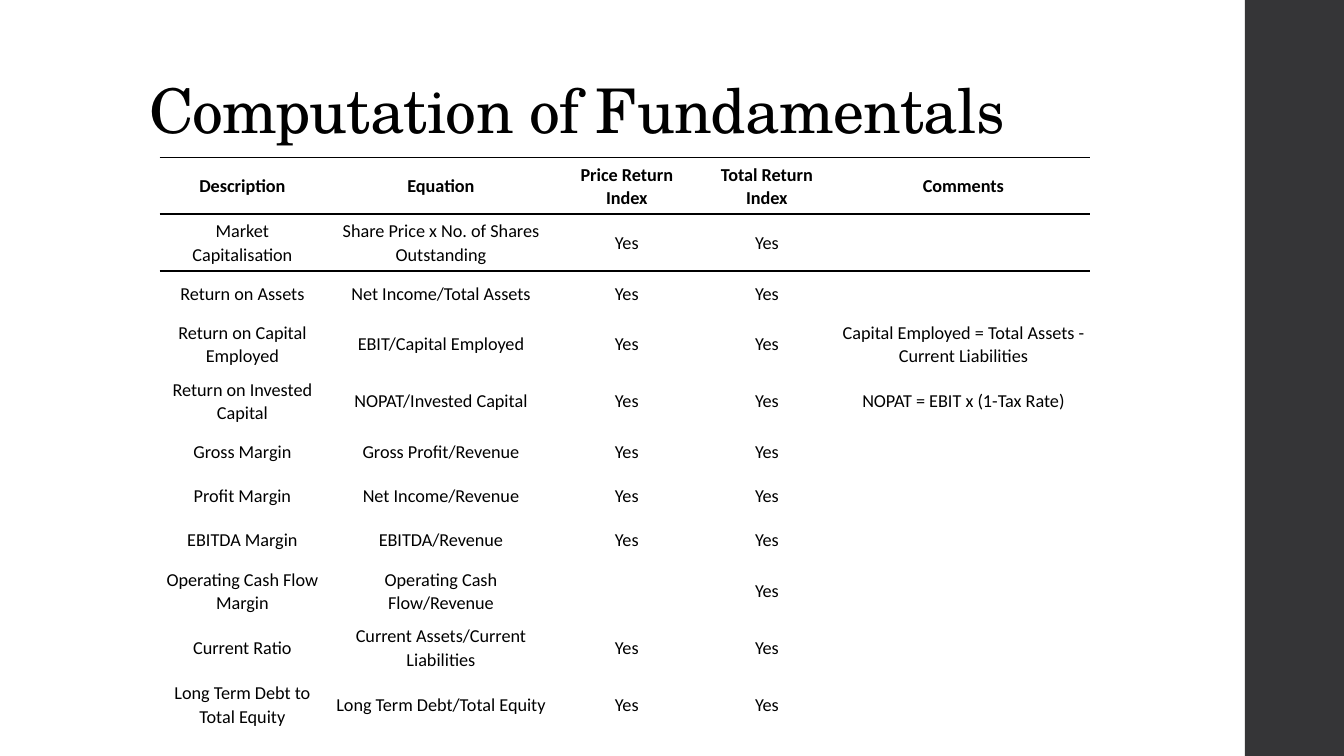
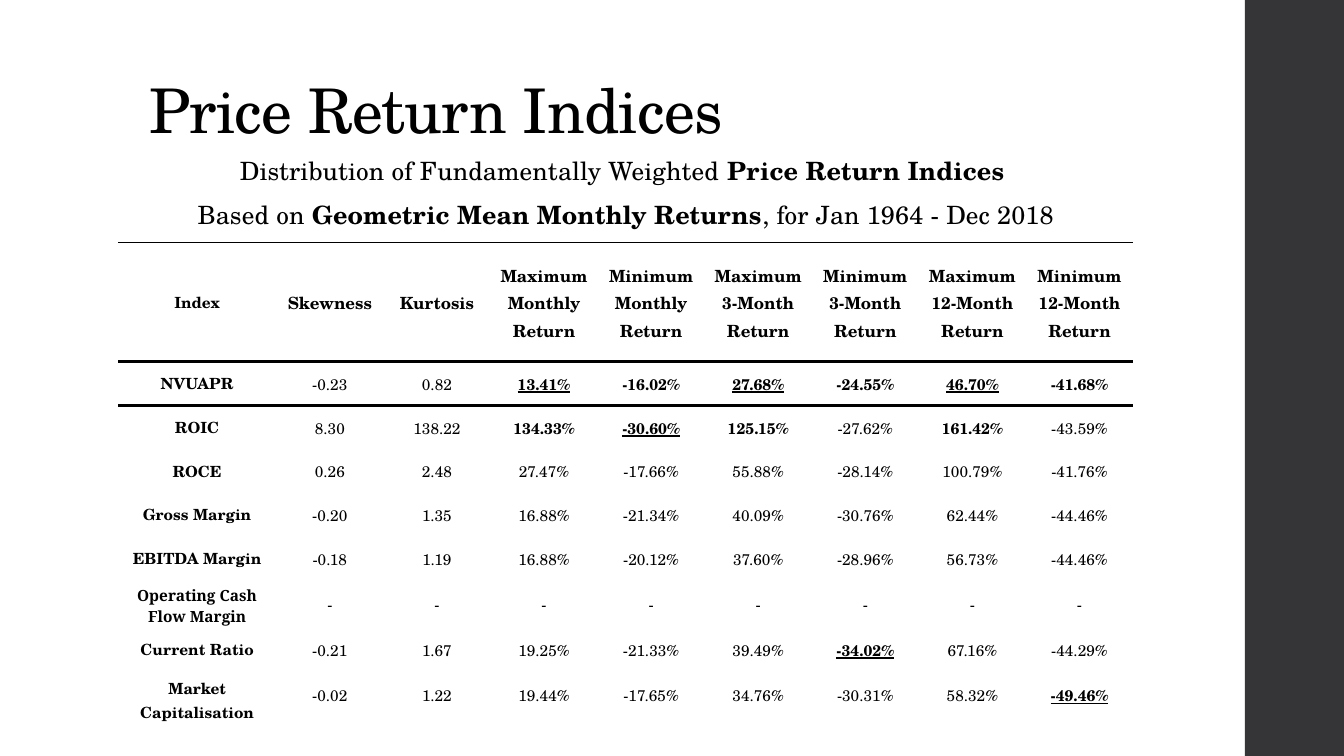
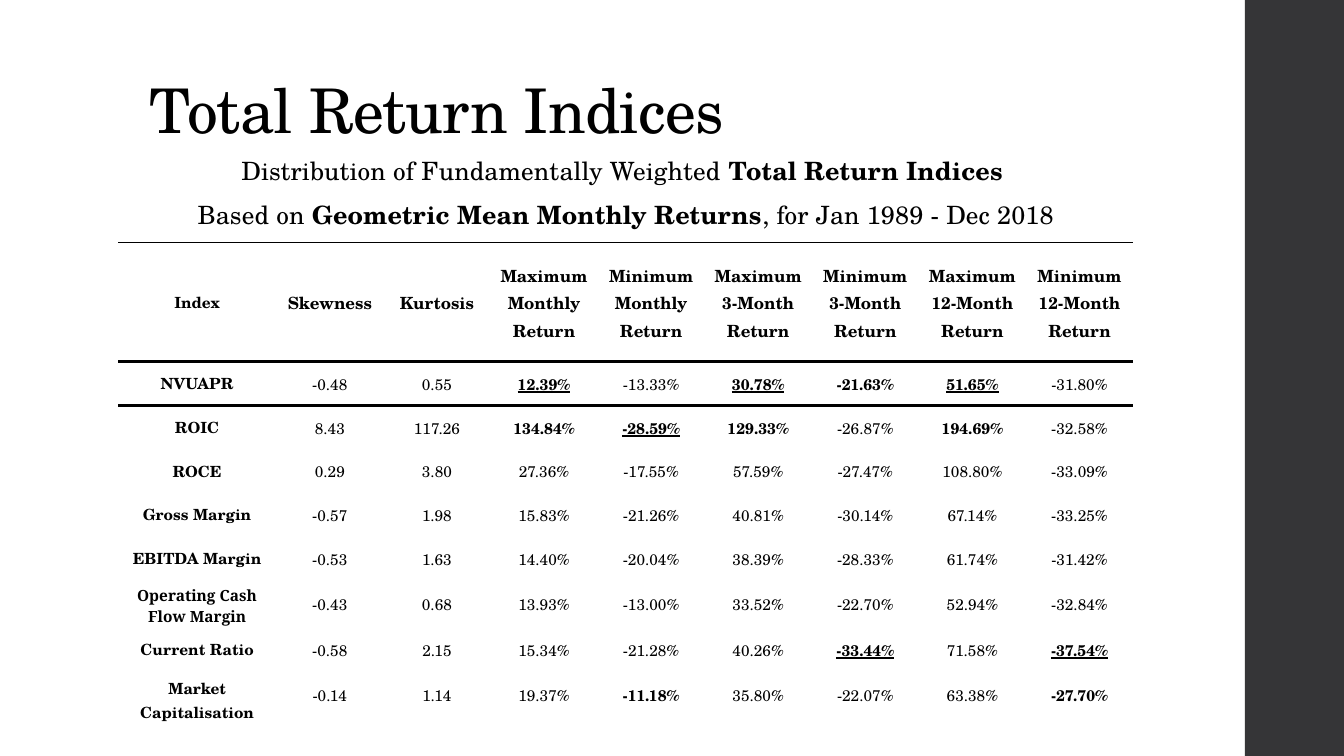
from lxml.etree import SubElement
from pptx import Presentation
from pptx.dml.color import RGBColor
from pptx.enum.shapes import MSO_SHAPE as Shape
from pptx.enum.text import MSO_ANCHOR as Anchor, PP_ALIGN as Align
from pptx.oxml.ns import qn
from pptx.util import Inches, Pt

BLACK = RGBColor(0x00, 0x00, 0x00)
WHITE = RGBColor(0xFF, 0xFF, 0xFF)
CHARCOAL = RGBColor(0x35, 0x35, 0x37)
SERIF = "TeX Gyre Schola"
SANS = "Calibri"
NOTO = "Noto Serif"
PLAIN_TABLE = "{2D5ABB26-0587-4C30-8999-92F81FD0307C}"


def write(frame, text, size, font=SERIF, bold=False, underline=False, align=Align.LEFT,
          leading=None, after=0, tracking=0, anchor=Anchor.TOP):
    frame.word_wrap = True
    frame.vertical_anchor = anchor
    for index, line in enumerate(text.split("\n")):
        para = frame.paragraphs[0] if index == 0 else frame.add_paragraph()
        para.alignment = align
        para.space_after = Pt(after)
        if leading:
            para.line_spacing = leading
        for part, words in enumerate(line.split("*")):
            if not words:
                continue
            span = para.add_run()
            span.text = words
            span.font.size = Pt(size)
            span.font.name = font
            span.font.bold = bold or part % 2 == 1
            span.font.underline = underline
            span.font.color.rgb = BLACK
            if tracking:
                span.font._element.set("spc", str(int(tracking * 100)))


def draw_border(cell, side, points):
    line = SubElement(cell._tc.get_or_add_tcPr(), qn(f"a:ln{side}"), w=str(Pt(points)))
    fill = SubElement(line, qn("a:solidFill"))
    SubElement(fill, qn("a:srgbClr"), val=str(BLACK))


class Report:
    def __init__(self):
        self.deck = Presentation()
        self.deck.slide_width = Inches(13.33)
        self.deck.slide_height = Inches(7.5)
        self.page = None

    def across(self, percent):
        return int(self.deck.slide_width * percent / 100)

    def down(self, percent):
        return int(self.deck.slide_height * percent / 100)

    def area(self, left, top, width, height):
        return self.across(left), self.down(top), self.across(width), self.down(height)

    def start(self, title):
        self.page = self.deck.slides.add_slide(self.deck.slide_layouts[6])
        band = self.page.shapes.add_shape(Shape.RECTANGLE, *self.area(92.63, 0, 7.37, 100))
        band.shadow.inherit = False
        band.fill.solid()
        band.fill.fore_color.rgb = CHARCOAL
        band.line.fill.background()
        box = self.page.shapes.add_textbox(*self.area(10.35, 5.33, 79.5, 19.33))
        write(box.text_frame, title, 44, leading=0.9, tracking=-0.5, anchor=Anchor.MIDDLE)

    def caption(self, text):
        box = self.page.shapes.add_textbox(*self.area(3.3, 19.87, 86.55, 11.33))
        write(box.text_frame, text, 18, align=Align.CENTER, after=10, tracking=0.1)

    def table(self, left, top, columns, heights, rows, style, rules, fill=None):
        place = self.area(left, top, sum(columns), sum(heights))
        table = self.page.shapes.add_table(len(rows), len(columns), *place).table
        table.first_row = table.horz_banding = False
        table._tbl.tblPr.find(qn("a:tableStyleId")).text = PLAIN_TABLE
        for column, width in zip(table.columns, columns):
            column.width = self.across(width)
        for row, height in zip(table.rows, heights):
            row.height = self.down(height)
        for row_index, row in enumerate(rows):
            for column_index, text in enumerate(row):
                cell = table.cell(row_index, column_index)
                look = style(row_index, column_index, text)
                side, end = look.pop("insets")
                cell.margin_left = cell.margin_right = Pt(side)
                cell.margin_top = cell.margin_bottom = Pt(end)
                cell.vertical_anchor = Anchor.MIDDLE
                if row_index == 0:
                    draw_border(cell, "T", rules[0])
                    draw_border(cell, "B", rules[1])
                elif row_index == 1:
                    draw_border(cell, "T", rules[1])
                if fill is None:
                    cell.fill.background()
                else:
                    cell.fill.solid()
                    cell.fill.fore_color.rgb = fill
                write(cell.text_frame, text.lstrip("_"), align=Align.CENTER,
                      anchor=Anchor.MIDDLE, **look)


def fundamentals_style(row, column, text):
    return dict(size=13, font=SANS, bold=row == 0, leading=1.07, insets=(3.6, 3.6))


def returns_style(row, column, text):
    if column == 0:
        font = NOTO if text.startswith("Operating") else SERIF
        return dict(size=11, font=font, bold=True, insets=(3.6, 3.6))
    marked = text.startswith("_")
    return dict(size=12 if row == 0 else 11, bold=row == 0 or marked, underline=marked,
                leading=1.07, insets=(3, 0))


FUNDAMENTALS = [
    ("Description", "Equation", "Price Return Index", "Total Return Index", "Comments"),
    ("Market Capitalisation", "Share Price x No. of Shares Outstanding", "Yes", "Yes", ""),
    ("Return on Assets", "Net Income/Total Assets", "Yes", "Yes", ""),
    ("Return on Capital Employed", "EBIT/Capital Employed", "Yes", "Yes",
     "Capital Employed = Total Assets - Current Liabilities"),
    ("Return on Invested Capital", "NOPAT/Invested Capital", "Yes", "Yes",
     "NOPAT = EBIT x (1-Tax Rate)"),
    ("Gross Margin", "Gross Profit/Revenue", "Yes", "Yes", ""),
    ("Profit Margin", "Net Income/Revenue", "Yes", "Yes", ""),
    ("EBITDA Margin", "EBITDA/Revenue", "Yes", "Yes", ""),
    ("Operating Cash Flow Margin", "Operating Cash Flow/Revenue", "", "Yes", ""),
    ("Current Ratio", "Current Assets/Current Liabilities", "Yes", "Yes", ""),
    ("Long Term Debt to Total Equity", "Long Term Debt/Total Equity", "Yes", "Yes", ""),
]

RETURN_HEADER = [
    "Index", "Skewness", "Kurtosis", "Maximum Monthly Return", "Minimum Monthly Return",
    "Maximum 3-Month Return", "Minimum\n3-Month Return",
    "Maximum 12-Month Return", "Minimum\n12-Month Return",
]
INDICES = ["NVUAPR", "ROIC", "ROCE", "Gross Margin", "EBITDA Margin",
           "Operating Cash Flow Margin", "Current Ratio", "Market Capitalisation"]

RETURNS = {
    ("Price", 1964): [
        "-0.23 0.82 _13.41% *-16.02%* _27.68% *-24.55%* _46.70% *-41.68%*",
        "8.30 138.22 *134.33%* _-30.60% *125.15%* -27.62% *161.42%* -43.59%",
        "0.26 2.48 27.47% -17.66% 55.88% -28.14% 100.79% -41.76%",
        "-0.20 1.35 16.88% -21.34% 40.09% -30.76% 62.44% -44.46%",
        "-0.18 1.19 16.88% -20.12% 37.60% -28.96% 56.73% -44.46%",
        "- - - - - - - -",
        "-0.21 1.67 19.25% -21.33% 39.49% _-34.02% 67.16% -44.29%",
        "-0.02 1.22 19.44% -17.65% 34.76% -30.31% 58.32% _-49.46%",
    ],
    ("Total", 1989): [
        "-0.48 0.55 _12.39% -13.33% _30.78% *-21.63%* _51.65% -31.80%",
        "8.43 117.26 *134.84%* _-28.59% *129.33%* -26.87% *194.69%* -32.58%",
        "0.29 3.80 27.36% -17.55% 57.59% -27.47% 108.80% -33.09%",
        "-0.57 1.98 15.83% -21.26% 40.81% -30.14% 67.14% -33.25%",
        "-0.53 1.63 14.40% -20.04% 38.39% -28.33% 61.74% -31.42%",
        "-0.43 0.68 13.93% -13.00% 33.52% -22.70% 52.94% -32.84%",
        "-0.58 2.15 15.34% -21.28% 40.26% _-33.44% 71.58% _-37.54%",
        "-0.14 1.14 19.37% *-11.18%* 35.80% -22.07% 63.38% *-27.70%*",
    ],
}


def main():
    report = Report()
    report.start("Computation of Fundamentals")
    report.table(11.88, 20.8, [12.3, 17.25, 10.42, 10.42, 18.82],
                 [5.87] * 3 + [6.8] + [5.87] * 7, FUNDAMENTALS,
                 fundamentals_style, (1, 2.25), WHITE)
    for (kind, year), lines in RETURNS.items():
        report.start(f"{kind} Return Indices")
        report.caption(f"Distribution of Fundamentally Weighted *{kind} Return Indices *\n"
                       f"Based on *Geometric Mean Monthly Returns*, for Jan {year} - Dec 2018")
        rows = [RETURN_HEADER] + [[name, *line.split()] for name, line in zip(INDICES, lines)]
        report.table(8.78, 32.08, [11.78] + [7.97] * 8, [15.75] + [5.79] * 8, rows,
                     returns_style, (0.5, 2))
    report.deck.save("out.pptx")


if __name__ == "__main__":
    main()
